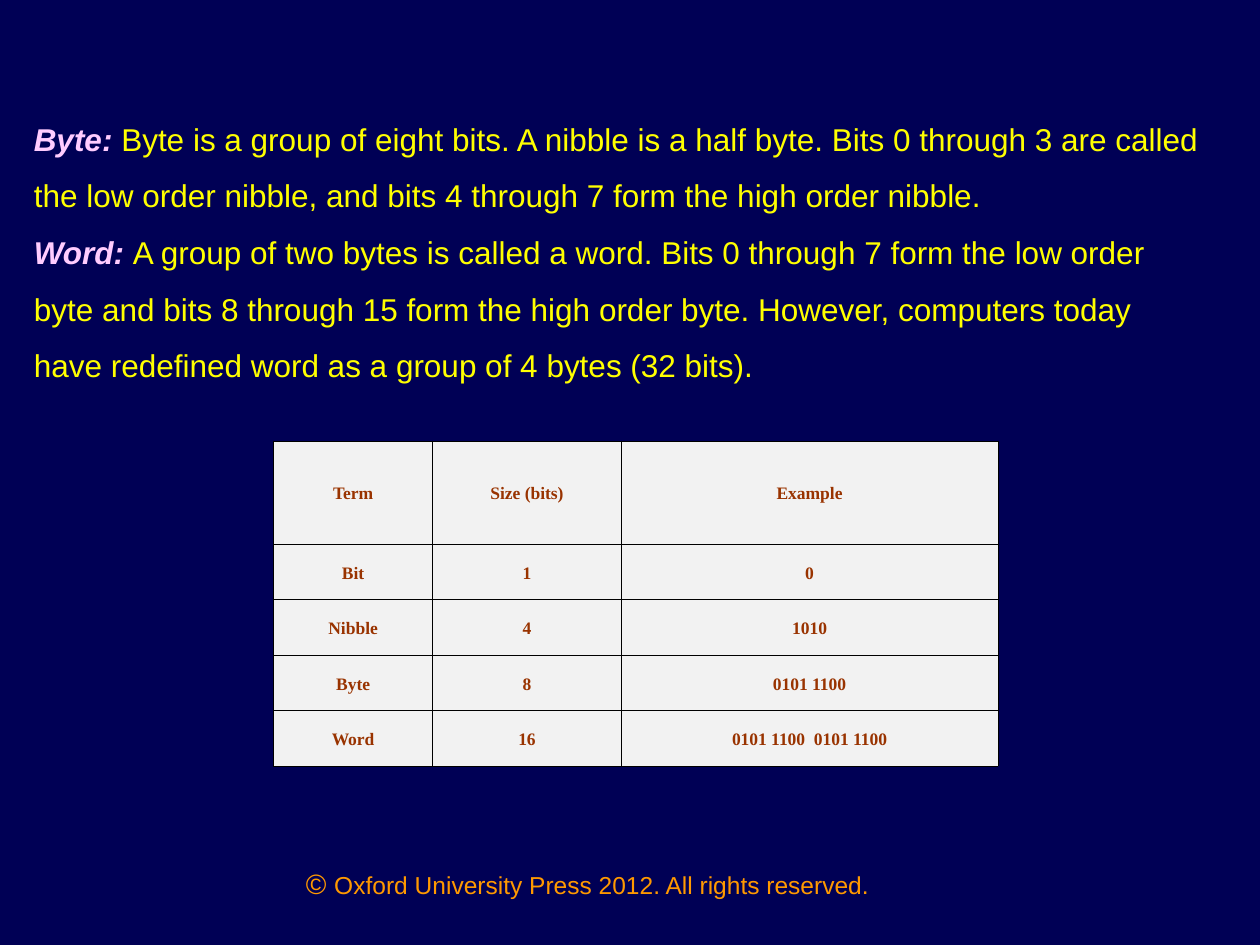
from dataclasses import dataclass

import pptx
import pptx.dml.color
import pptx.enum.text
import pptx.oxml
import pptx.oxml.ns
import pptx.util
from pptx.util import Inches


@dataclass(frozen=True)
class Theme:
    background: str = "000055"
    term: str = "FFCCFF"
    body: str = "FFFF00"
    notice: str = "FF9900"
    cell_text: str = "993300"
    cell_fill: str = "F2F2F2"
    border: str = "000000"
    sans: str = "Arial"
    serif: str = "Times New Roman"
    body_size: float = 18
    symbol_size: float = 16
    notice_size: float = 14
    cell_size: float = 10
    border_width: float = 0.45


THEME = Theme()

DEFINITIONS = [
    ("Byte: ", "Byte is a group of eight bits. A nibble is a half byte. Bits 0 "
     "through 3 are called the low order nibble, and bits 4 through 7 form the "
     "high order nibble."),
    ("Word: ", "A group of two bytes is called a word. Bits 0 through 7 form the "
     "low order byte and bits 8 through 15 form the high order byte. However, "
     "computers today have redefined word as a group of 4 bytes (32 bits)."),
]

UNITS = [
    ("Term", "Size (bits)", "Example"),
    ("Bit", "1", "0"),
    ("Nibble", "4", "1010"),
    ("Byte", "8", "0101 1100"),
    ("Word", "16", "0101 1100  0101 1100"),
]


def rgb(value):
    return pptx.dml.color.RGBColor.from_string(value)


def set_font(font, name, color, size=None):
    font.name = name
    font.color.rgb = rgb(color)
    if size:
        font.size = pptx.util.Pt(size)


def add_run(paragraph, text):
    run = paragraph.add_run()
    run.text = text
    return run


def add_text_frame(slide, box):
    frame = slide.shapes.add_textbox(*box).text_frame
    frame.word_wrap = True
    return frame


def add_definitions(slide, box):
    frame = add_text_frame(slide, box)
    for index, (term, meaning) in enumerate(DEFINITIONS):
        paragraph = frame.add_paragraph() if index else frame.paragraphs[0]
        paragraph.line_spacing = 1.5
        paragraph.font.size = pptx.util.Pt(THEME.body_size)
        term_run = add_run(paragraph, term)
        set_font(term_run.font, THEME.sans, THEME.term)
        term_run.font.bold = term_run.font.italic = True
        set_font(add_run(paragraph, meaning).font, THEME.sans, THEME.body)


def set_borders(cell):
    properties = cell._tc.get_or_add_tcPr()
    width = pptx.util.Pt(THEME.border_width)
    for side in ("lnL", "lnR", "lnT", "lnB"):
        properties.append(pptx.oxml.parse_xml(
            f'<a:{side} {pptx.oxml.ns.nsdecls("a")} w="{width}"><a:solidFill>'
            f'<a:srgbClr val="{THEME.border}"/></a:solidFill></a:{side}>'))


def fill_cell(cell, text):
    set_borders(cell)
    cell.fill.solid()
    cell.fill.fore_color.rgb = rgb(THEME.cell_fill)
    cell.vertical_anchor = pptx.enum.text.MSO_ANCHOR.MIDDLE
    cell.margin_left = cell.margin_right = Inches(0.08)
    cell.text = text
    paragraph = cell.text_frame.paragraphs[0]
    paragraph.alignment = pptx.enum.text.PP_ALIGN.CENTER
    paragraph.line_spacing = 1.15
    paragraph.space_after = pptx.util.Pt(10)
    set_font(paragraph.font, THEME.serif, THEME.cell_text, THEME.cell_size)
    paragraph.font.bold = True


def add_units_table(slide, box):
    """Three columns in fixed shares; the rows below the header are equal."""
    _, _, width, height = box
    table = slide.shapes.add_table(len(UNITS), len(UNITS[0]), *box).table
    table.first_row = table.horz_banding = False
    for column, share in zip(table.columns, (0.22, 0.26, 0.52)):
        column.width = int(width * share)
    header_height = Inches(0.82)
    for index, row in enumerate(table.rows):
        row.height = ((height - header_height) // (len(UNITS) - 1)
                      if index else header_height)
        for cell, text in zip(row.cells, UNITS[index]):
            fill_cell(cell, text)


def add_copyright(slide, box):
    paragraph = add_text_frame(slide, box).paragraphs[0]
    paragraph.alignment = pptx.enum.text.PP_ALIGN.CENTER
    set_font(paragraph.font, THEME.sans, THEME.notice)
    symbol = add_run(paragraph, "© ")
    symbol.font.size = pptx.util.Pt(THEME.symbol_size)
    notice = add_run(paragraph, "Oxford University Press 2012. All rights reserved.")
    notice.font.size = pptx.util.Pt(THEME.notice_size)


def main():
    deck = pptx.Presentation()
    deck.slide_width, deck.slide_height = Inches(10), Inches(7.5)
    slide = deck.slides.add_slide(deck.slide_layouts.get_by_name("Blank"))
    slide.background.fill.solid()
    slide.background.fill.fore_color.rgb = rgb(THEME.background)
    add_copyright(slide, (Inches(2), Inches(6.83), Inches(5.33), Inches(0.52)))
    add_definitions(slide, (Inches(0.17), Inches(0.75), Inches(9.5), Inches(2.35)))
    add_units_table(slide, (Inches(2.17), Inches(3.5), Inches(5.75), Inches(2.58)))
    deck.save("out.pptx")


if __name__ == "__main__":
    main()
